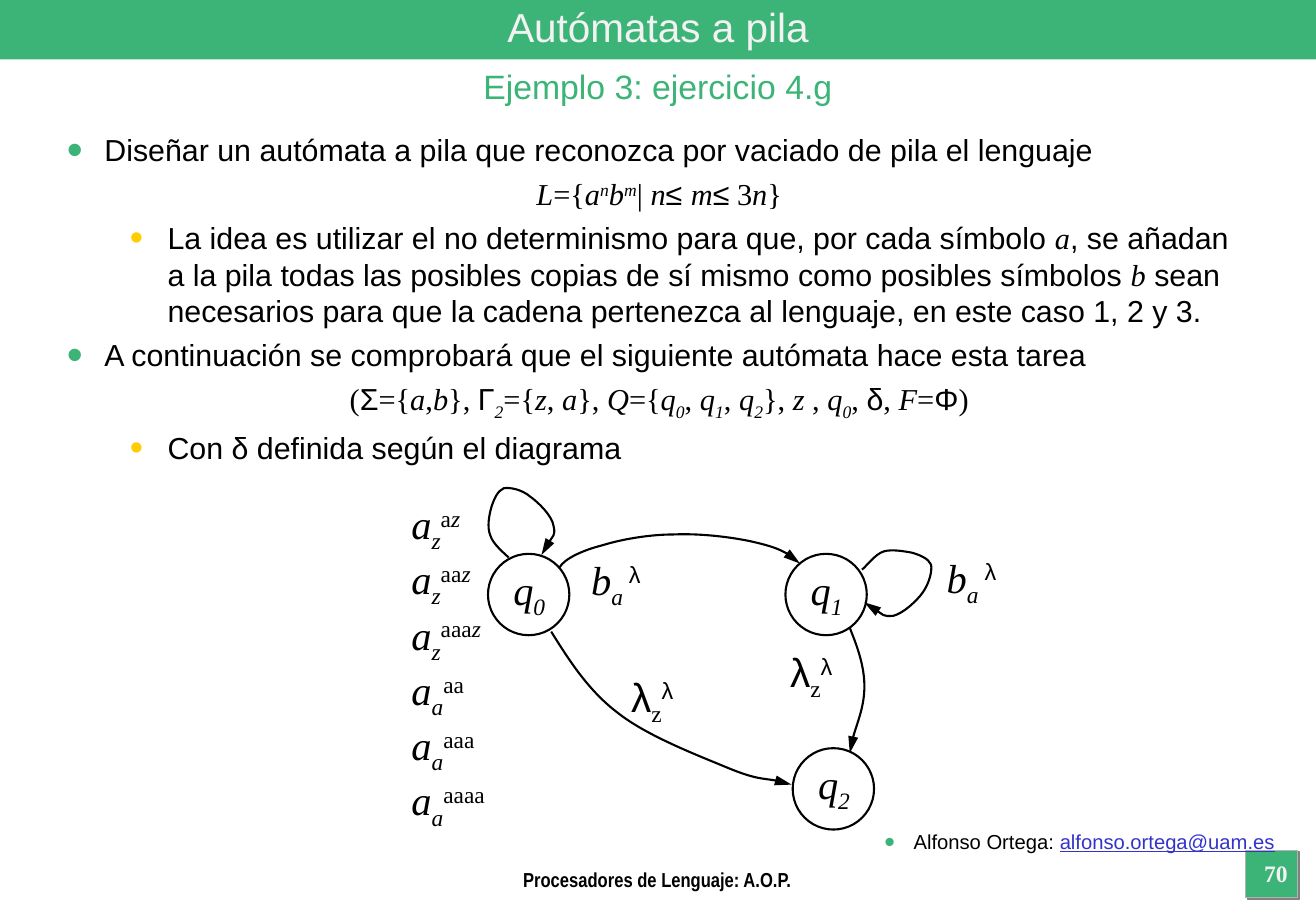
"""Build the slide about a pushdown automaton with its state diagram."""
from lxml import etree
from pptx import Presentation
from pptx.dml.color import RGBColor
from pptx.enum.shapes import MSO_SHAPE
from pptx.enum.text import MSO_ANCHOR, MSO_AUTO_SIZE, PP_ALIGN
from pptx.oxml.ns import qn
from pptx.util import Inches, Pt

LEFT, CENTER, RIGHT = PP_ALIGN.LEFT, PP_ALIGN.CENTER, PP_ALIGN.RIGHT
TOP, MIDDLE = MSO_ANCHOR.TOP, MSO_ANCHOR.MIDDLE
FIXED, GROW = MSO_AUTO_SIZE.NONE, MSO_AUTO_SIZE.SHAPE_TO_FIT_TEXT
RECTANGLE, OVAL = MSO_SHAPE.RECTANGLE, MSO_SHAPE.OVAL

COLORS = {"green": "3CB478", "yellow": "FFCC00", "light": "F2F2F2", "black": "000000",
          "gray": "B2B2B2", "shadow": "808080", "link": "3333CC"}
SANS, SERIF, NARROW = "Arial", "Times New Roman", "Arial Narrow"
PAGE_WIDTH, PAGE_HEIGHT = 10.84, 7.5

# Run styles: i italic, s sans, ^ superscript, _ subscript, u link
TITLE = [("Autómatas a pila", "s")]
SUBTITLE = [("Ejemplo 3: ejercicio 4.g", "s")]
AUTHOR = [("Alfonso Ortega: ", "s"), ("alfonso.ortega@uam.es", "su")]
FOOTER = [("Procesadores de Lenguaje: A.O.P.", "")]
NUMBER = [("70", "")]


def state_name(index):
    return [("q", "i"), (str(index), "i_")]


LANGUAGE = [("L", "i"), ("={", ""), ("a", "i"), ("n", "i^"), ("b", "i"), ("m", "i^"), ("| ", ""),
            ("n", "i"), ("≤ ", "s"), ("m", "i"), ("≤", "s"), (" 3", ""), ("n", "i"), ("}", "")]
AUTOMATON = [("(", ""), ("Σ", "s"), ("={", ""), ("a", "i"), (",", ""), ("b", "i"), ("}, ", ""),
             ("Γ", "s"), ("2", "i_"), ("={", ""), ("z", "i"), (", ", ""), ("a", "i"), ("}, ", ""),
             ("Q", "i"), ("={", ""), *state_name(0), (", ", ""), *state_name(1), (", ", ""),
             *state_name(2), ("}, ", ""), ("z ", "i"), (", ", ""), *state_name(0), (", ", ""),
             ("δ", "s"), (", ", ""), ("F", "i"), ("=", ""), ("Φ", "s"), (")", "")]
BODY = [
    ("item", [("Diseñar un autómata a pila que reconozca por vaciado de pila el lenguaje", "s")]),
    ("formula", LANGUAGE),
    ("subitem", [("La idea es utilizar el no determinismo para que, por cada símbolo ", "s"),
                 ("a", "i"),
                 (", se añadan a la pila todas las posibles copias de sí mismo como "
                  "posibles símbolos ", "s"), ("b", "i"),
                 (" sean necesarios para que la cadena pertenezca al lenguaje, "
                  "en este caso 1, 2 y 3.", "s")]),
    ("item", [("A continuación se comprobará que el siguiente autómata hace esta tarea", "s")]),
    ("formula", AUTOMATON),
    ("subitem", [("Con δ definida según el diagrama", "s")]),
]
BODY_STYLES = {
    "item": dict(level=0, margin=0.31, bullet=("green", 150), align=LEFT),
    "formula": dict(level=0, margin=0.31, bullet=None, align=CENTER),
    "subitem": dict(level=1, margin=0.83, bullet=("yellow", 125), align=LEFT),
}
STATES = [(4.02, 4.56), (6.47, 4.56), (6.53, 6.16)]
STATE_SIZE = 0.67
PUSH_FIRST = [[("a", "i"), ("z", "i_"), ("a" * count, "^"), ("z", "i^")] for count in (1, 2, 3)]
PUSH_MORE = [[("a", "i"), ("a", "i_"), ("a" * count, "^")] for count in (2, 3, 4)]
POP = [("b", "i"), ("a ", "i_"), ("λ", "s^")]
EMPTY = [("λ", "s"), ("z", "_"), ("λ", "s^")]
EDGE_LABELS = [
    (4.77, 4.52, 0.62, 0.56, [POP]),
    (7.7, 4.5, 0.62, 0.56, [POP]),
    (6.41, 5.28, 0.57, 0.56, [EMPTY]),
    (5.1, 5.48, 0.57, 0.56, [EMPTY]),
]
PUSH_AREA = (3.29, 4.06, 0.9, 2.83)
EDGES = [
    [(4.61, 4.67), (4.65, 4.6), (4.8, 4.53), (4.96, 4.49), (5.12, 4.44), (5.35, 4.4),
     (5.55, 4.4), (5.76, 4.39), (6.02, 4.42), (6.2, 4.46), (6.37, 4.5), (6.53, 4.56), (6.59, 4.64)],
    [(4.19, 4.59), (4.16, 4.56), (4.06, 4.48), (4.04, 4.41), (4.01, 4.34), (4.03, 4.24),
     (4.05, 4.17), (4.07, 4.11), (4.1, 4.04), (4.15, 4.02), (4.2, 4.01), (4.3, 4.03),
     (4.37, 4.09), (4.44, 4.14), (4.55, 4.25), (4.56, 4.33), (4.58, 4.41), (4.48, 4.52), (4.46, 4.57)],
    [(7, 5.17), (7.06, 5.32), (7.12, 5.48), (7.12, 5.65), (7.12, 5.82), (7, 6.11), (7, 6.2)],
    [(7.1, 4.69), (7.13, 4.67), (7.21, 4.56), (7.28, 4.54), (7.35, 4.52), (7.45, 4.54),
     (7.51, 4.55), (7.58, 4.57), (7.65, 4.6), (7.67, 4.65), (7.68, 4.71), (7.65, 4.81),
     (7.6, 4.88), (7.55, 4.95), (7.44, 5.05), (7.36, 5.07), (7.27, 5.08), (7.17, 4.99), (7.12, 4.96)],
    [(4.54, 5.2), (4.69, 5.44), (4.85, 5.69), (5.09, 5.87), (5.33, 6.06), (5.75, 6.22),
     (5.99, 6.32), (6.23, 6.42), (6.44, 6.42), (6.52, 6.46)],
]


def rgb(name):
    return RGBColor.from_string(COLORS[name])


def add_xml(parent, tag, **attributes):
    return etree.SubElement(parent, qn(tag), attributes)


def write_runs(para, runs, size, color="black", bold=False, serif=SERIF):
    for text, style in runs:
        span = para.add_run()
        span.text = text
        formats = dict(name=SANS if "s" in style else serif, size=Pt(size), bold=bold,
                       italic="i" in style, underline="u" in style)
        for key, value in formats.items():
            setattr(span.font, key, value)
        span.font.color.rgb = rgb("link" if "u" in style else color)
        for mark, shift in (("^", "30000"), ("_", "-25000")):
            if mark in style:
                span.font._element.set("baseline", shift)


def set_bullet(para, margin, hanging, bullet):
    props = para._p.get_or_add_pPr()
    props.set("marL", str(Inches(margin)))
    props.set("indent", str(-Inches(hanging)))
    if bullet is None:
        add_xml(props, "a:buNone")
        return
    color, percent = bullet
    add_xml(add_xml(props, "a:buClr"), "a:srgbClr", val=COLORS[color])
    add_xml(props, "a:buSzPct", val=str(percent * 1000))
    add_xml(props, "a:buFont", typeface=SANS)
    add_xml(props, "a:buChar", char="•")


def place(shape, left, top, width, height):
    for key, value in dict(left=left, top=top, width=width, height=height).items():
        setattr(shape, key, Inches(value))


def set_frame(box, anchor=TOP, wrap=True, fit=FIXED):
    for key, value in dict(vertical_anchor=anchor, word_wrap=wrap, auto_size=fit).items():
        setattr(box.text_frame, key, value)


def add_text(page, area, lines, size, align=LEFT, wrap=True, fit=FIXED, **look):
    box = page.shapes.add_textbox(*map(Inches, area))
    set_frame(box, wrap=wrap, fit=fit)
    for index, runs in enumerate(lines):
        para = box.text_frame.add_paragraph() if index else box.text_frame.paragraphs[0]
        para.alignment = align
        write_runs(para, runs, size, **look)
    return box


def add_panel(page, area):
    panel = page.shapes.add_shape(RECTANGLE, *map(Inches, area))
    panel.shadow.inherit = False
    panel.fill.solid()
    panel.fill.fore_color.rgb = rgb("green")
    panel.line.fill.background()
    return panel


def outline(shape):
    shape.shadow.inherit = False
    shape.fill.background()
    shape.line.color.rgb = rgb("black")
    shape.line.width = Pt(1.25)


def add_edge(page, points):
    start, *rest = [tuple(map(Inches, point)) for point in points]
    builder = page.shapes.build_freeform(*start)
    builder.add_line_segments(rest, close=False)
    edge = builder.convert_to_shape()
    outline(edge)
    segments = list(edge._element.iter(qn("a:lnTo")))
    for first in range(0, len(segments), 3):
        curve = add_xml(segments[first].getparent(), "a:cubicBezTo")
        for segment in segments[first:first + 3]:
            curve.append(segment[0])
            segment.getparent().remove(segment)
    add_xml(edge.line._get_or_add_ln(), "a:tailEnd", type="triangle", w="med", len="lg")


def main():
    deck = Presentation()
    deck.slide_width, deck.slide_height = Inches(PAGE_WIDTH), Inches(PAGE_HEIGHT)
    page = deck.slides.add_slide(deck.slide_layouts[1])
    title, body = page.shapes.title, page.placeholders[1]

    square = add_panel(page, (10.26, 7, 0.43, 0.39))
    square.line.color.rgb = rgb("gray")
    square.line.width = Pt(0.75)
    shadow = add_xml(square._element.spPr.find(qn("a:effectLst")), "a:outerShdw",
                     dist=str(Pt(1.4)), dir="2700000", algn="ctr", rotWithShape="0")
    add_xml(shadow, "a:srgbClr", val=COLORS["shadow"])
    add_panel(page, (0, 0, PAGE_WIDTH, 0.49))
    author = add_text(page, (3.02, 6.78, 7.58, 0.44), [AUTHOR], 12, RIGHT)
    set_bullet(author.text_frame.paragraphs[0], 0.24, 0.24, ("green", 150))

    for holder in (title, body):
        page.shapes._spTree.append(holder._element)
    place(title, 0, 0, PAGE_WIDTH, 0.44)
    set_frame(title, MIDDLE)
    title.text_frame.paragraphs[0].alignment = CENTER
    write_runs(title.text_frame.paragraphs[0], TITLE, 24, "light")
    add_text(page, (0, 0.49, PAGE_WIDTH, 0.44), [SUBTITLE], 20, CENTER, color="green")

    place(body, 0.45, 1.03, 9.96, 5.8)
    set_frame(body)
    for index, (kind, runs) in enumerate(BODY):
        style = BODY_STYLES[kind]
        para = body.text_frame.add_paragraph() if index else body.text_frame.paragraphs[0]
        set_bullet(para, style["margin"], 0.31, style["bullet"])
        para.level, para.alignment = style["level"], style["align"]
        para.space_before = Pt(4.5 if index else 0)
        write_runs(para, runs, 18)

    for index, (left, top) in enumerate(STATES):
        outline(page.shapes.add_shape(OVAL, *map(Inches, (left, top, STATE_SIZE, STATE_SIZE))))
        add_text(page, (left + 0.11, top + 0.04, 0.46, 0.56), [state_name(index)], 24, CENTER,
                 wrap=False, fit=GROW)
    for points in EDGES:
        add_edge(page, points)
    for *area, lines in EDGE_LABELS:
        add_text(page, area, lines, 24, wrap=False, fit=GROW)
    add_text(page, PUSH_AREA, PUSH_FIRST + PUSH_MORE, 24)

    add_text(page, (3.01, 7.09, 4.81, 0.18), [FOOTER], 12, CENTER, bold=True, serif=NARROW)
    add_text(page, (10.24, 7.02, 0.54, 0.35), [NUMBER], 14, CENTER, color="light", bold=True)
    deck.save("out.pptx")


if __name__ == "__main__":
    main()
